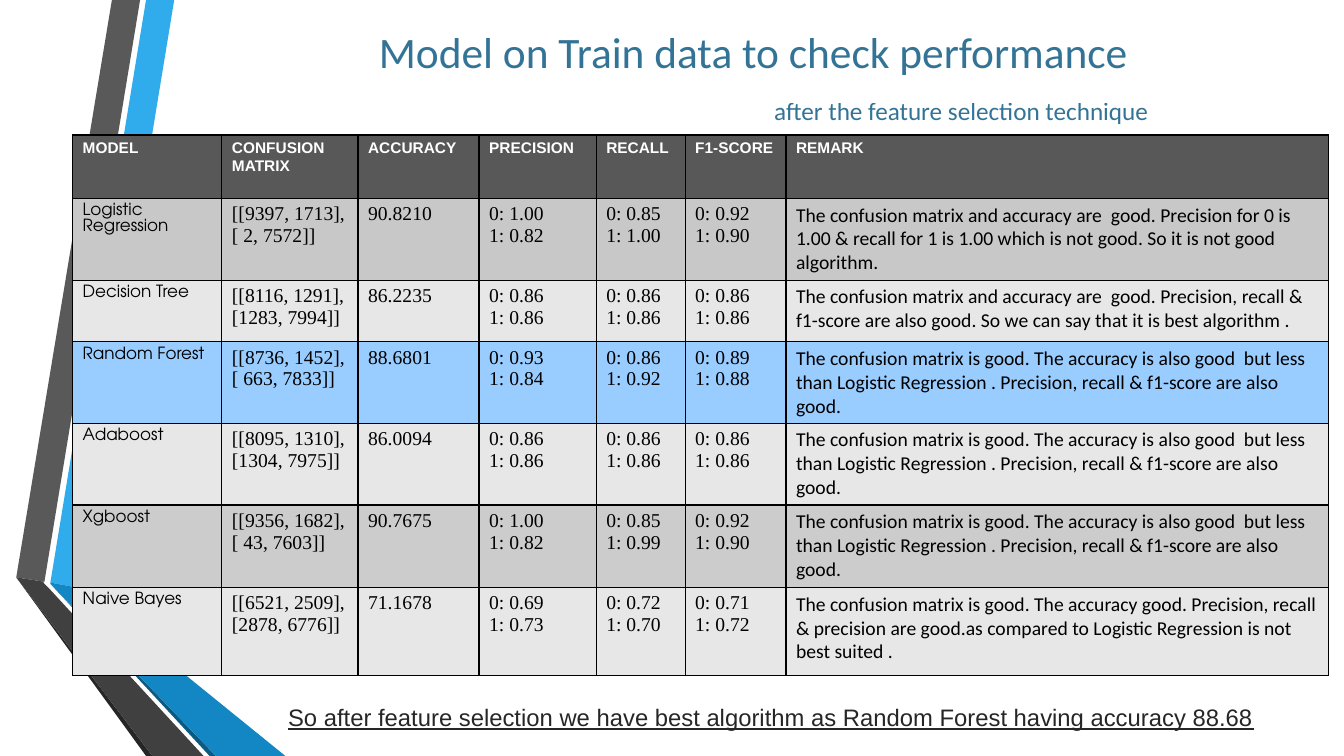
from lxml import etree
from pptx import Presentation
from pptx.dml.color import RGBColor
from pptx.enum.text import MSO_ANCHOR, MSO_AUTO_SIZE, PP_ALIGN
from pptx.oxml.ns import qn
from pptx.util import Cm, Pt

TOP = MSO_ANCHOR.TOP
NO_FIT = MSO_AUTO_SIZE.NONE
CENTER = PP_ALIGN.CENTER

HUES = {
    "sky": "30ACEC", "blue": "1287C3", "navy": "0C5A82",
    "gray": "595959", "coal": "404040", "ink": "262626",
    "head": "585858", "mid": "C8C8C8", "dim": "CCCCCC", "pale": "E7E7E7",
    "best": "99CCFF", "white": "FFFFFF", "black": "000000",
}

TITLE = ["Model on Train data to check performance",
         "after the feature selection technique"]
CLOSING = ("So after feature selection we have best algorithm as "
           "Random Forest having accuracy 88.68")

HEADS = ["MODEL", "CONFUSION MATRIX", "ACCURACY", "PRECISION", "RECALL",
         "F1-SCORE", "REMARK"]
LESS = ("The confusion matrix is good. The accuracy is also good  but less than "
        "Logistic Regression . Precision, recall & f1-score are also good.")
# fill, model, matrix, accuracy, (precision, recall, f1) for classes 0 and 1, remark
MODELS = [
    ("mid", "Logistic Regression", "[[9397, 1713], [ 2, 7572]]", "90.8210",
     [("1.00", "0.82"), ("0.85", "1.00"), ("0.92", "0.90")],
     "The confusion matrix and accuracy are  good. Precision for 0 is 1.00 & "
     "recall for 1 is 1.00 which is not good. So it is not good algorithm."),
    ("pale", "Decision Tree", "[[8116, 1291], [1283, 7994]]", "86.2235",
     [("0.86", "0.86"), ("0.86", "0.86"), ("0.86", "0.86")],
     "The confusion matrix and accuracy are  good. Precision, recall & f1-score "
     "are also good. So we can say that it is best algorithm ."),
    ("best", "Random Forest", "[[8736, 1452], [ 663, 7833]]", "88.6801",
     [("0.93", "0.84"), ("0.86", "0.92"), ("0.89", "0.88")], LESS),
    ("pale", "Adaboost", "[[8095, 1310], [1304, 7975]]", "86.0094",
     [("0.86", "0.86"), ("0.86", "0.86"), ("0.86", "0.86")], LESS),
    ("dim", "Xgboost", "[[9356, 1682], [ 43, 7603]]", "90.7675",
     [("1.00", "0.82"), ("0.85", "0.99"), ("0.92", "0.90")], LESS),
    ("pale", "Naive Bayes", "[[6521, 2509], [2878, 6776]]", "71.1678",
     [("0.69", "0.73"), ("0.72", "0.70"), ("0.71", "0.72")],
     "The confusion matrix is good. The accuracy good. Precision, recall & "
     "precision are good.as compared to Logistic Regression is not best suited ."),
]
COLS = [3.76, 3.43, 3.05, 2.95, 2.24, 2.54, 13.67]
ROWS = [1.6, 1.98, 1.55, 1.98, 1.98, 2.08, 2.21]
FONTS = [("TeX Gyre Adventor", 12)] + [("Times New Roman", 14)] * 5 + [("Calibri", 14)]

WIDE, HIGH = 33.86, 19.05
BANDS = [
    ("sky", [(1.27, 14.68), (1.96, 14.81), (4.39, 0), (3.68, 0)]),
    ("gray", [(3.53, 0), (2.82, 0), (0.41, 14.55), (1.12, 14.66)]),
    ("ink", [(0.41, 14.55), (3.68, HIGH), (3.84, HIGH)]),
    ("navy", [(1.27, 14.71), (5.28, HIGH), (5.44, HIGH)]),
    ("blue", [(1.27, 14.68), (1.27, 14.71), (5.44, HIGH), (7.19, HIGH),
              (1.96, 14.81)]),
    ("coal", [(5.13, HIGH), (1.22, 14.81), (1.09, 14.68), (1.12, 14.66),
              (0.41, 14.55), (3.84, HIGH)]),
]


def color(name):
    return RGBColor.from_string(HUES[name])


def style(para, face, size, hue, bold=False):
    for run in para.runs:
        font = run.font
        font.name, font.size, font.bold = face, Pt(size), bold
        font.color.rgb = color(hue)


def add_bands(slide):
    for hue, spots in BANDS:
        spots = [(Cm(x), Cm(y)) for x, y in spots]
        pen = slide.shapes.build_freeform(*spots[0])
        pen.add_line_segments(spots[1:], close=True)
        band = pen.convert_to_shape()
        band.shadow.inherit = False
        band.fill.solid()
        band.fill.fore_color.rgb = color(hue)
        band.line.fill.background()


def add_title(slide):
    title = slide.shapes.title
    title.left, title.top, title.width, title.height = (
        Cm(5.05), Cm(0.51), Cm(27.84), Cm(3.68))
    frame = title.text_frame
    frame.text = "\n".join(TITLE)
    frame.word_wrap = True
    frame.auto_size = NO_FIT
    frame.vertical_anchor = TOP
    for para, size in zip(frame.paragraphs, (31, 18)):
        para.alignment = CENTER
        para.space_before = Pt(0)
        style(para, "Calibri", size, "navy")
        for tint in para._p.iter(qn("a:srgbClr")):
            etree.SubElement(tint, qn("a:alpha")).set("val", "83000")
    para.space_before = Pt(13)
    para._p.get_or_add_pPr().set("marL", str(Cm(10.5)))


def rule_cell(cell):
    """Draw a thin black border on all four sides."""
    props = cell._tc.get_or_add_tcPr()
    for side in ("lnL", "lnR", "lnT", "lnB"):
        line = etree.SubElement(props, qn("a:" + side), w=str(Pt(1)))
        fill = etree.SubElement(line, qn("a:solidFill"))
        etree.SubElement(fill, qn("a:srgbClr"), val=HUES["black"])


def add_scores(slide):
    rows = [("head", HEADS)]
    for fill, model, matrix, rate, pairs, remark in MODELS:
        marks = [f"0: {no}\n1: {yes}" for no, yes in pairs]
        rows.append((fill, [model, matrix, rate, *marks, remark]))
    table = slide.shapes.add_table(
        len(ROWS), len(COLS), Cm(1.83), Cm(3.4), Cm(sum(COLS)), Cm(sum(ROWS))).table
    for col, width in zip(table.columns, COLS):
        col.width = Cm(width)
    for r, (fill, texts) in enumerate(rows):
        table.rows[r].height = Cm(ROWS[r])
        for c, text in enumerate(texts):
            cell = table.cell(r, c)
            cell.text = text
            rule_cell(cell)
            cell.fill.solid()
            cell.fill.fore_color.rgb = color(fill)
            for para in cell.text_frame.paragraphs:
                if r == 0:
                    style(para, "Arial", 11, "white", True)
                else:
                    style(para, *FONTS[c], "black")


def add_closing(slide):
    box = slide.shapes.add_textbox(Cm(7.01), Cm(17.58), Cm(26.5), Cm(0.99))
    frame = box.text_frame
    frame.word_wrap = True
    frame.text = CLOSING
    para = frame.paragraphs[0]
    style(para, "Arial", 17, "ink")
    para.runs[0].font.underline = True


def main():
    deck = Presentation()
    deck.slide_width, deck.slide_height = Cm(WIDE), Cm(HIGH)
    slide = deck.slides.add_slide(deck.slide_layouts[5])
    add_bands(slide)
    add_title(slide)
    add_scores(slide)
    add_closing(slide)
    deck.save("out.pptx")


if __name__ == "__main__":
    main()
